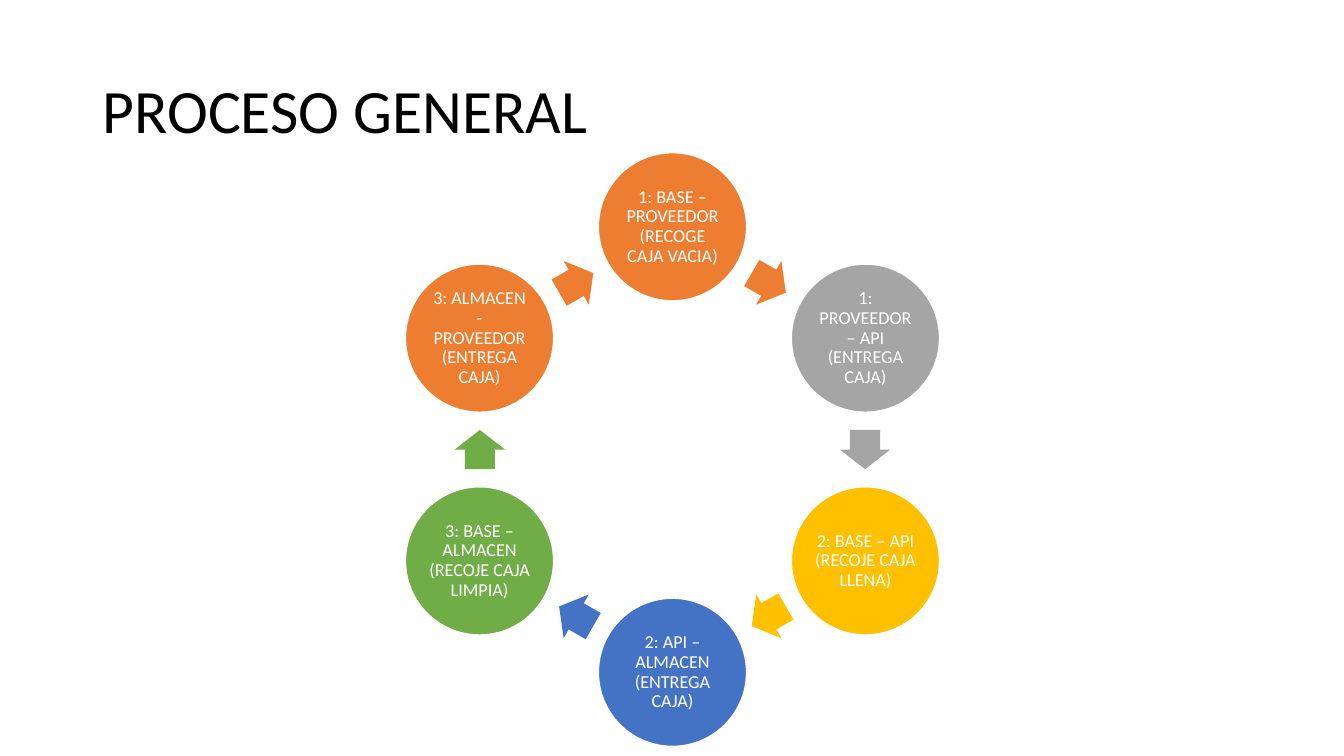
from math import cos, radians, sin

from pptx import Presentation
from pptx.dml.color import RGBColor
from pptx.enum.shapes import MSO_SHAPE
from pptx.enum.text import MSO_ANCHOR, PP_ALIGN
from pptx.util import Inches, Pt


def color(hex_code):
    return RGBColor.from_string(hex_code)


def write(shape, text, size, ink, align, inset_x, inset_y):
    frame = shape.text_frame
    frame.word_wrap = True
    frame.vertical_anchor = MSO_ANCHOR.MIDDLE
    frame.margin_left = frame.margin_right = Inches(inset_x)
    frame.margin_top = frame.margin_bottom = Inches(inset_y)
    para = frame.paragraphs[0]
    para.alignment = align
    para.line_spacing = 0.9
    span = para.add_run()
    span.text = text
    span.font.name = "Calibri"
    span.font.size = Pt(size)
    span.font.color.rgb = color(ink)


deck = Presentation()
deck.slide_width = Inches(13.33)
deck.slide_height = Inches(7.5)
page = deck.slides.add_slide(deck.slide_layouts[6])

title = page.shapes.add_textbox(Inches(0.92), Inches(0.4), Inches(11.5), Inches(1.45))
write(title, "PROCESO GENERAL", size=44, ink="000000", align=PP_ALIGN.LEFT,
      inset_x=0.1, inset_y=0.05)

# Steps run clockwise from the top; each arrow sits halfway to the next step.
steps = [
    ("1: BASE – PROVEEDOR (RECOGE CAJA VACIA)", "ED7D31"),
    ("1: PROVEEDOR – API (ENTREGA CAJA)", "A5A5A5"),
    ("2: BASE – API (RECOJE CAJA LLENA)", "FFC000"),
    ("2: API – ALMACEN (ENTREGA CAJA)", "4472C4"),
    ("3: BASE – ALMACEN (RECOJE CAJA LIMPIA)", "70AD47"),
    ("3: ALMACEN - PROVEEDOR (ENTREGA CAJA)", "ED7D31"),
]
center_x, center_y = 6.67, 4.46
step_radius, arrow_radius = 2.21, 1.91
diameter = 1.47
arrow_width, arrow_height = 0.39, 0.5
turn = 360 / len(steps)

for index, (label, fill) in enumerate(steps):
    angle = radians(index * turn - 90)
    circle = page.shapes.add_shape(
        MSO_SHAPE.OVAL,
        Inches(center_x + step_radius * cos(angle) - diameter / 2),
        Inches(center_y + step_radius * sin(angle) - diameter / 2),
        Inches(diameter), Inches(diameter))
    circle.line.color.rgb = color("FFFFFF")
    circle.line.width = Pt(1)
    write(circle, label, size=13, ink="FFFFFF", align=PP_ALIGN.CENTER,
          inset_x=0.02, inset_y=0.02)

    angle += radians(turn / 2)
    arrow = page.shapes.add_shape(
        MSO_SHAPE.RIGHT_ARROW,
        Inches(center_x + arrow_radius * cos(angle) - arrow_width / 2),
        Inches(center_y + arrow_radius * sin(angle) - arrow_height / 2),
        Inches(arrow_width), Inches(arrow_height))
    arrow.adjustments[0] = 0.6
    arrow.adjustments[1] = 0.5
    arrow.rotation = (index + 0.5) * turn
    arrow.line.fill.background()

    for shape in (circle, arrow):
        shape.shadow.inherit = False
        shape.fill.solid()
        shape.fill.fore_color.rgb = color(fill)

deck.save("out.pptx")
